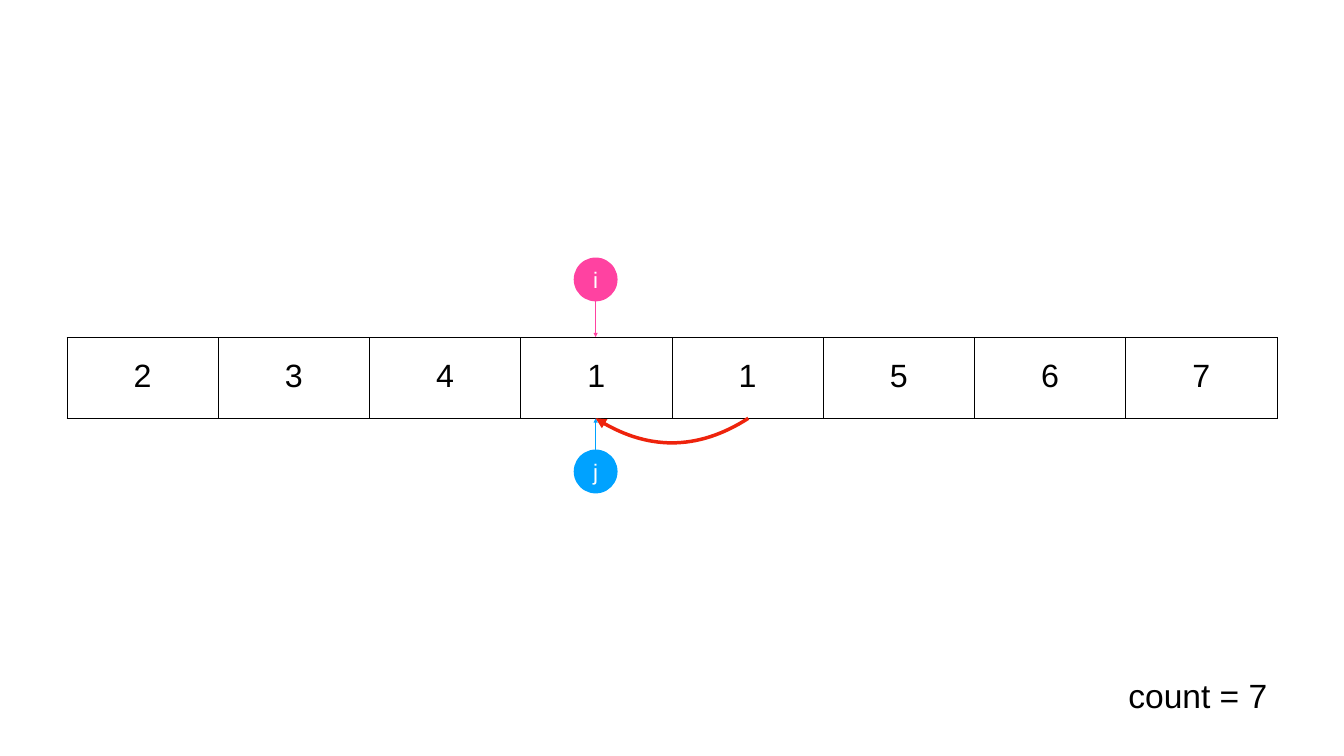
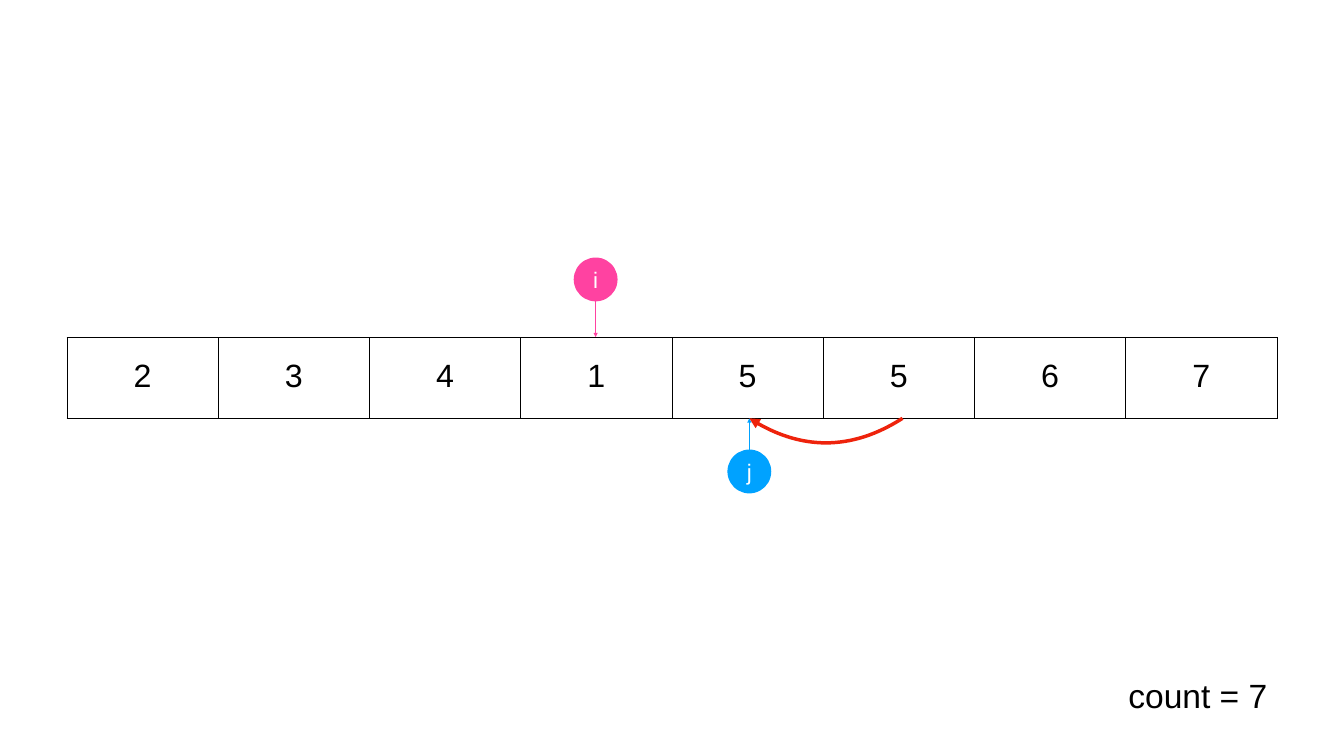
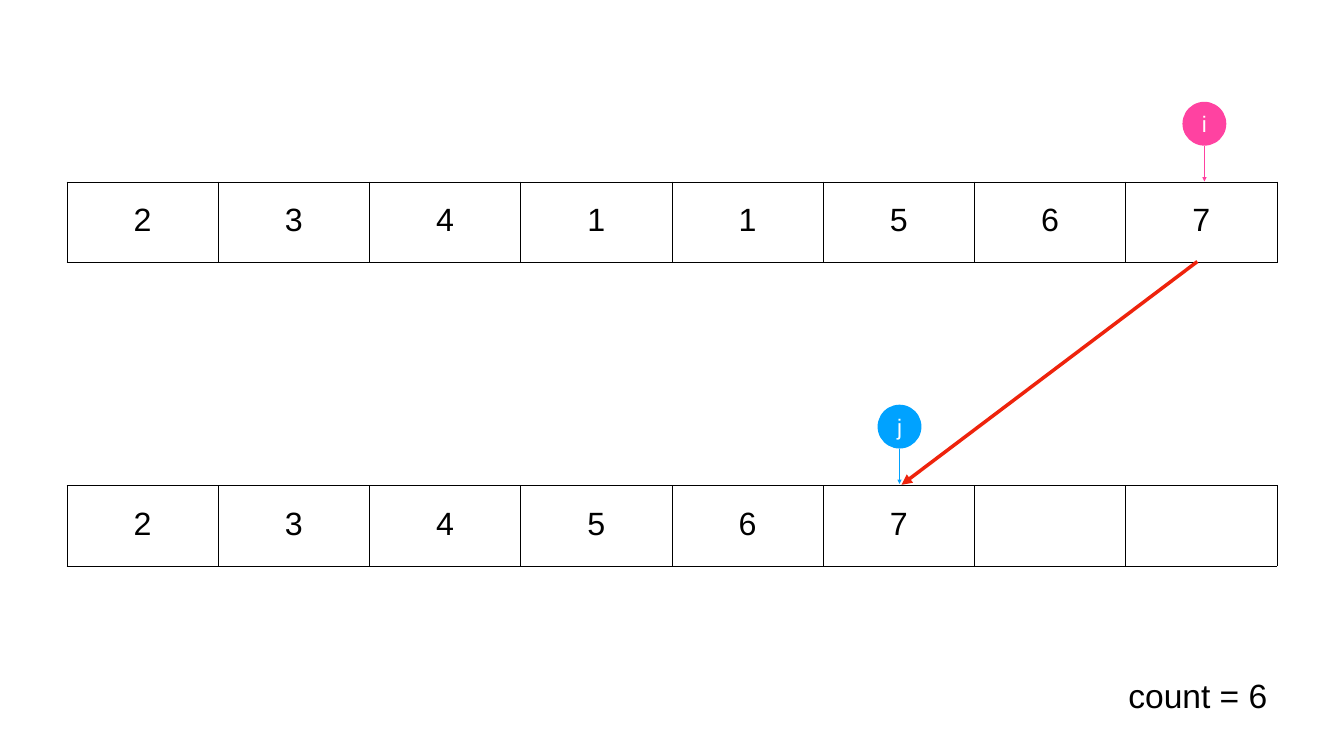
from dataclasses import dataclass

from lxml.etree import SubElement as Sub
from pptx import Presentation
from pptx.dml.color import RGBColor as Rgb
from pptx.enum.shapes import MSO_CONNECTOR as Conn, MSO_SHAPE as Kind
from pptx.enum.text import MSO_ANCHOR as Anchor, MSO_AUTO_SIZE as Auto, PP_ALIGN as Align
from pptx.oxml import parse_xml
from pptx.oxml.ns import nsdecls, qn
from pptx.util import Emu, Pt


@dataclass(frozen=True)
class Theme:
    font: str = "Arial"
    ink: str = "000000"
    white: str = "FFFFFF"
    pink: str = "FF42A1"
    blue: str = "00A2FF"
    red: str = "EE230C"
    cell: int = 46
    label: int = 32
    count: int = 48
    grid: int = 1
    thin: int = 2
    thick: int = 5


LOOK = Theme()
SCALE = 9144
WIDE, HIGH = 2667, 1500
PAD = 6
LEFT, SPAN, ROW = 133, 2401, 160
BALL = 87


def px(num):
    return Emu(round(num * SCALE))


class Deck:
    def __init__(self, look):
        self.look = look
        self.prs = Presentation()
        self.prs.slide_width, self.prs.slide_height = px(WIDE), px(HIGH)
        self.slide = None

    def page(self, count):
        self.slide = self.prs.slides.add_slide(self.prs.slide_layouts[6])
        self.slide.background.fill.solid()
        self.slide.background.fill.fore_color.rgb = Rgb.from_string(self.look.white)
        self.note(f"count = {count}")

    def label(self, frame, text, size, color, align, space=None):
        frame.text = text
        para = frame.paragraphs[0]
        para.alignment = align
        para.line_spacing = space
        for run in para.runs:
            run.font.name = self.look.font
            run.font.size = Pt(size)
            run.font.bold = False
            run.font.color.rgb = Rgb.from_string(color)

    def inset(self, item):
        item.margin_left = item.margin_right = px(PAD)
        item.margin_top = item.margin_bottom = px(PAD)
        item.vertical_anchor = Anchor.MIDDLE

    def note(self, text):
        box = self.slide.shapes.add_textbox(px(2233), px(1335), px(313), px(97))
        frame = box.text_frame
        self.inset(frame)
        frame.word_wrap = False
        frame.auto_size = Auto.SHAPE_TO_FIT_TEXT
        self.label(frame, text, self.look.count, self.look.ink, Align.LEFT, 0.9)

    def border(self, props):
        for spot, side in enumerate("LRTB"):
            props.insert(spot, parse_xml(
                f'<a:ln{side} {nsdecls("a")} w="{Pt(self.look.grid)}"><a:solidFill>'
                f'<a:srgbClr val="{self.look.ink}"/></a:solidFill></a:ln{side}>'))

    def array(self, top, vals, size=8):
        frame = self.slide.shapes.add_table(
            1, size, px(LEFT), px(top), px(SPAN), px(ROW))
        grid = frame.table
        grid.first_row = grid.horz_banding = False
        for spot, cell in enumerate(grid.iter_cells()):
            cell.fill.background()
            self.inset(cell)
            if spot < len(vals):
                self.label(cell.text_frame, str(vals[spot]), self.look.cell,
                           self.look.ink, Align.CENTER, 0.9)
        for props in list(frame.element.iter(qn("a:tcPr"))):
            self.border(props)

    def stroke(self, shape, color, width):
        shape.line.color.rgb = Rgb.from_string(color)
        shape.line.width = Pt(width)
        props = shape.element.spPr
        Sub(props.find(qn("a:ln")), qn("a:tailEnd"), type="triangle")
        if props.find(qn("a:effectLst")) is None:
            Sub(props, qn("a:effectLst"))

    def arrow(self, start, end, color, width):
        line = self.slide.shapes.add_connector(
            Conn.STRAIGHT, *map(px, (*start, *end)))
        self.stroke(line, color, width)

    def arc(self, start, end, base, dip=65, steps=32):
        dots = []
        for step in range(steps + 1):
            part = step / steps
            drop = 3 * part * (1 - part) * dip
            dots.append((px(start + (end - start) * part), px(base + drop)))
        pen = self.slide.shapes.build_freeform(*dots[0])
        pen.add_line_segments(dots[1:], close=False)
        curve = pen.convert_to_shape()
        curve.shadow.inherit = False
        curve.fill.background()
        self.stroke(curve, self.look.red, self.look.thick)

    def pin(self, text, color, mid, top, tip):
        ball = self.slide.shapes.add_shape(
            Kind.OVAL, px(mid - BALL / 2), px(top), px(BALL), px(BALL))
        ball.shadow.inherit = False
        ball.fill.solid()
        ball.fill.fore_color.rgb = Rgb.from_string(color)
        ball.line.fill.background()
        self.inset(ball.text_frame)
        self.label(ball.text_frame, text, self.look.label, self.look.white, Align.CENTER)
        edge = top + BALL if tip > top else top
        self.arrow((mid, edge), (mid, tip), color, self.look.thin)


def main():
    deck = Deck(LOOK)
    shifts = (
        ((2, 3, 4, 1, 1, 5, 6, 7), 1182, 1485),
        ((2, 3, 4, 1, 5, 5, 6, 7), 1487, 1791),
    )
    for vals, goal, start in shifts:
        deck.page(7)
        deck.array(670, vals)
        deck.pin("i", LOOK.pink, 1182, 511, 669)
        deck.pin("j", LOOK.blue, goal, 892, 830)
        deck.arc(start, goal, 830)

    deck.page(6)
    deck.array(361, (2, 3, 4, 1, 1, 5, 6, 7))
    deck.array(963, (2, 3, 4, 5, 6, 7))
    deck.pin("i", LOOK.pink, 2390, 202, 360)
    deck.pin("j", LOOK.blue, 1785, 803, 960)
    deck.arrow((2376, 519), (1789, 962), LOOK.red, LOOK.thick)
    deck.prs.save("out.pptx")


if __name__ == "__main__":
    main()
